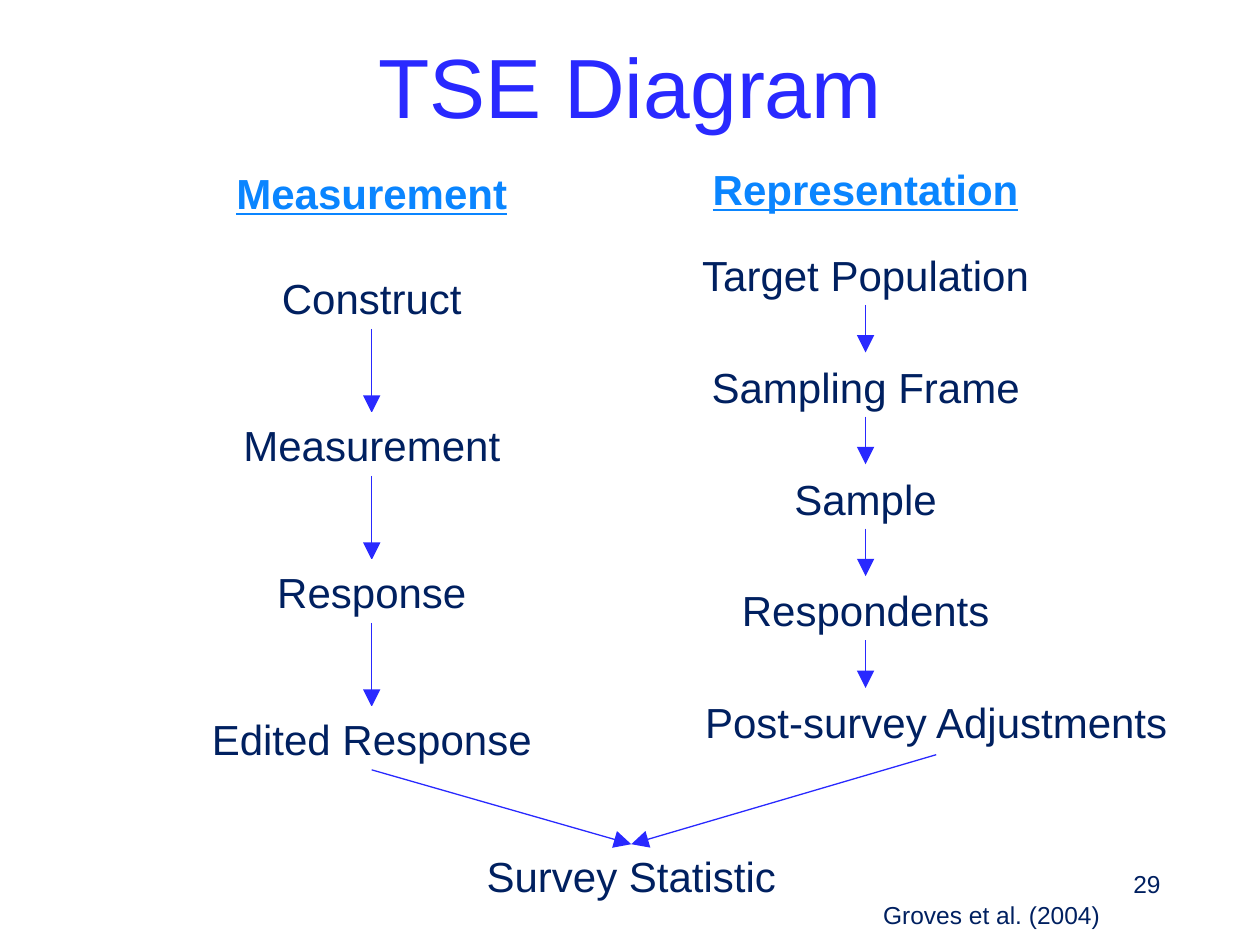
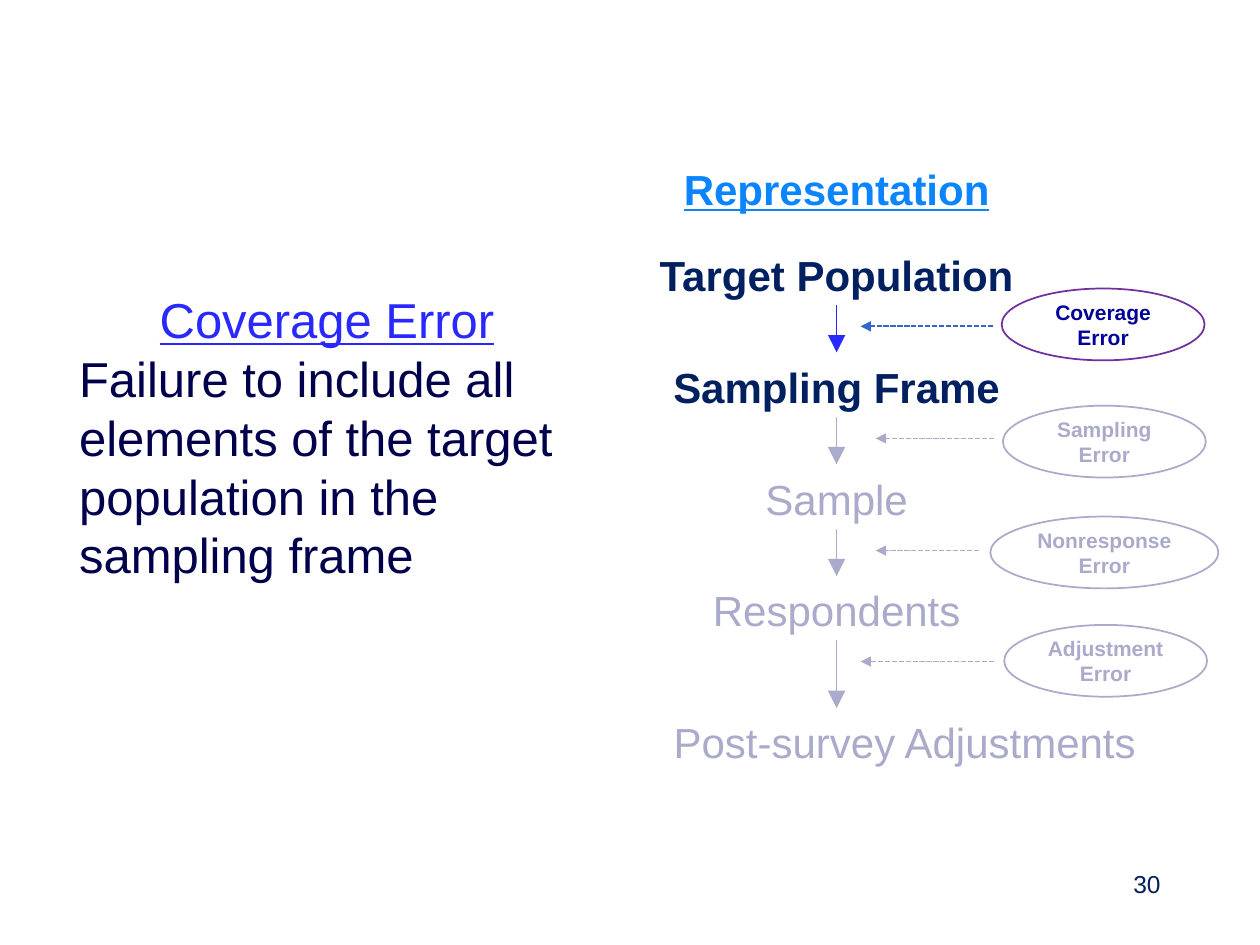
import pptx
import pptx.dml.color
import pptx.enum.dml
import pptx.enum.shapes
import pptx.enum.text
import pptx.oxml
import pptx.oxml.ns
import pptx.util
from lxml import etree
from pptx.util import Inches

RGBColor = pptx.dml.color.RGBColor
ALIGN = pptx.enum.text.PP_ALIGN
SHAPE = pptx.enum.shapes.MSO_SHAPE
FONT = "Arial"
BLUE = RGBColor(0x29, 0x29, 0xFF)
SKY = RGBColor(0x0A, 0x85, 0xFF)
NAVY = RGBColor(0x00, 0x20, 0x60)
INK = RGBColor(0x00, 0x00, 0x4C)
FADED = RGBColor(0xAA, 0xAA, 0xCA)
PURPLE = RGBColor(0x70, 0x30, 0xA0)
ROYAL = RGBColor(0x00, 0x00, 0x99)
STEEL = RGBColor(0x33, 0x66, 0xCC)
WHITE = RGBColor(0xFF, 0xFF, 0xFF)

STAGE_WIDTH = 3.02
ROW_HEIGHT = 0.5
REPRESENTATION = ["Target Population", "Sampling Frame", "Sample", "Respondents",
                  "Post-survey Adjustments"]
REPRESENTATION_TOP = 1.93
REPRESENTATION_STEP = 0.8875


def write(para, text, size, color, align=ALIGN.CENTER, bold=False, underline=False):
    """Add one styled run to a paragraph."""
    para.alignment = align
    span = para.add_run()
    span.text = text
    span.font.name = FONT
    span.font.size = pptx.util.Pt(size)
    span.font.color.rgb = color
    span.font.bold = bold
    span.font.underline = underline


def add_text(page, box, text, size, color, grow=True, **style):
    """Add a wrapping text box holding one paragraph and return its frame."""
    frame = page.shapes.add_textbox(*map(Inches, box)).text_frame
    frame.word_wrap = True
    if grow:
        frame.auto_size = pptx.enum.text.MSO_AUTO_SIZE.SHAPE_TO_FIT_TEXT
    write(frame.paragraphs[0], text, size, color, **style)
    return frame


def add_outline(page, preset, box, color, width):
    """Add an unfilled outlined shape and return its text frame."""
    shape = page.shapes.add_shape(preset, *map(Inches, box))
    shape.shadow.inherit = False
    shape.fill.background()
    shape.line.color.rgb = color
    shape.line.width = pptx.util.Pt(width)
    shape.text_frame.word_wrap = True
    return shape.text_frame


def add_arrow(page, start, end, color=BLUE, width=0.75, head="lg", dashed=False):
    """Draw a straight arrow between two points."""
    arrow = page.shapes.add_connector(
        pptx.enum.shapes.MSO_CONNECTOR.STRAIGHT, *map(Inches, (*start, *end)))
    arrow.line.color.rgb = color
    arrow.line.width = pptx.util.Pt(width)
    if dashed:
        arrow.line.dash_style = pptx.enum.dml.MSO_LINE.SQUARE_DOT
    tip = etree.SubElement(arrow.line._get_or_add_ln(), pptx.oxml.ns.qn("a:tailEnd"))
    for key, value in (("type", "triangle"), ("w", head), ("len", head)):
        tip.set(key, value)
    etree.SubElement(arrow._element.spPr, pptx.oxml.ns.qn("a:effectLst"))


def add_heading(page, left, top, text):
    """Add the underlined heading centred over a column of stages."""
    add_text(page, (left + 0.12, top, 2.78, ROW_HEIGHT), text, 24, SKY,
             bold=True, underline=True)


def add_stage(page, box, text, color=NAVY, bold=False):
    """Add one named stage of the survey process."""
    if color == FADED:
        add_text(page, box, text, 24, color)
        return
    frame = add_outline(page, SHAPE.RECTANGLE, box, WHITE, 0.75)
    frame.auto_size = pptx.enum.text.MSO_AUTO_SIZE.SHAPE_TO_FIT_TEXT
    frame.vertical_anchor = pptx.enum.text.MSO_ANCHOR.TOP
    write(frame.paragraphs[0], text, 24, color, bold=bold)


def add_measurement(page, left):
    """Build the measurement column."""
    names = ["Construct", "Measurement", "Response", "Edited Response"]
    step = 1.1667
    middle = left + STAGE_WIDTH / 2
    add_heading(page, left, 1.28, "Measurement")
    for row, name in enumerate(names):
        top = 2.11 + row * step
        add_stage(page, (left, top, STAGE_WIDTH, ROW_HEIGHT), name)
        if row < len(names) - 1:
            add_arrow(page, (middle, top + ROW_HEIGHT), (middle, top + step))


def add_representation(page, left, last_left, last_top, active=None):
    """Build the representation column, fading stages past the active ones."""
    add_heading(page, left, 1.25, "Representation")
    last = len(REPRESENTATION) - 1
    tops = [REPRESENTATION_TOP + row * REPRESENTATION_STEP for row in range(last)] + [last_top]
    middle = left + STAGE_WIDTH / 2
    for row, (name, top) in enumerate(zip(REPRESENTATION, tops)):
        color = NAVY if active is None or row < active else FADED
        start, width = (last_left, 4.14) if row == last else (left, STAGE_WIDTH)
        add_stage(page, (start, top, width, ROW_HEIGHT), name, color,
                  bold=active is not None and row < active)
        if row < last:
            arrow_color = BLUE if active is None or row < active - 1 else FADED
            add_arrow(page, (middle, top + 0.49), (middle, tops[row + 1] - 0.02), arrow_color)


def add_error(page, box, lines, arrow, outline=FADED, ink=FADED, pointer=FADED):
    """Add an error bubble and the dashed arrow (from, to, height) beside it."""
    frame = add_outline(page, SHAPE.OVAL, box, outline, 1)
    frame.vertical_anchor = pptx.enum.text.MSO_ANCHOR.MIDDLE
    for index, line in enumerate(lines):
        para = frame.add_paragraph() if index else frame.paragraphs[0]
        write(para, line, 12, ink, bold=True)
    start, end, height = arrow
    add_arrow(page, (start, height), (end, height), pointer, 1, "med", dashed=True)


def add_number(page, number):
    """Add the page number at the lower right."""
    add_text(page, (7.06, 6.85, 2.25, 0.4), str(number), 14, NAVY, grow=False,
             align=ALIGN.RIGHT)


def build_diagram(page):
    """Build the slide with both columns meeting in the survey statistic."""
    title = add_text(page, (0.69, 0.21, 8.62, 0.92), "TSE Diagram", 48, BLUE, grow=False)
    title.vertical_anchor = pptx.enum.text.MSO_ANCHOR.MIDDLE
    add_measurement(page, 1.44)
    add_representation(page, 5.36, 5.36, 5.48)
    add_stage(page, (3.5, 6.7, STAGE_WIDTH, ROW_HEIGHT), "Survey Statistic")
    for start in ((2.95, 6.11), (7.43, 5.99)):
        add_arrow(page, start, (5.01, 6.7))
    add_number(page, 29)
    add_text(page, (6.91, 7.09, 2.71, 0.34), "Groves et al. (2004)", 14, NAVY,
             align=ALIGN.LEFT)


def build_coverage(page):
    """Build the slide that defines coverage error."""
    add_number(page, 30)
    definition = add_text(page, (0.53, 2.25, 4.13, 2.46), "Coverage Error", 28, BLUE,
                          underline=True)
    write(definition.add_paragraph(),
          "Failure to include all elements of the target population in the sampling frame",
          28, INK, ALIGN.LEFT)
    add_representation(page, 5.13, 5.11, 5.64, active=2)
    add_error(page, (7.95, 2.29, 1.61, 0.57), ["Coverage", "Error"], (7.88, 6.83, 2.59),
              PURPLE, ROYAL, STEEL)
    add_error(page, (7.96, 3.22, 1.61, 0.57), ["Sampling Error"], (7.89, 6.95, 3.48))
    add_error(page, (7.86, 4.1, 1.81, 0.57), ["Nonresponse Error"], (7.77, 6.95, 4.37))
    add_error(page, (7.97, 4.96, 1.61, 0.57), ["Adjustment Error"], (7.89, 6.83, 5.25))


def main():
    """Create and save the deck."""
    deck = pptx.Presentation()
    deck.slide_width, deck.slide_height = Inches(10), Inches(7.5)
    for build in (build_diagram, build_coverage):
        build(deck.slides.add_slide(deck.slide_layouts[6]))
    deck.save("out.pptx")


if __name__ == "__main__":
    main()
